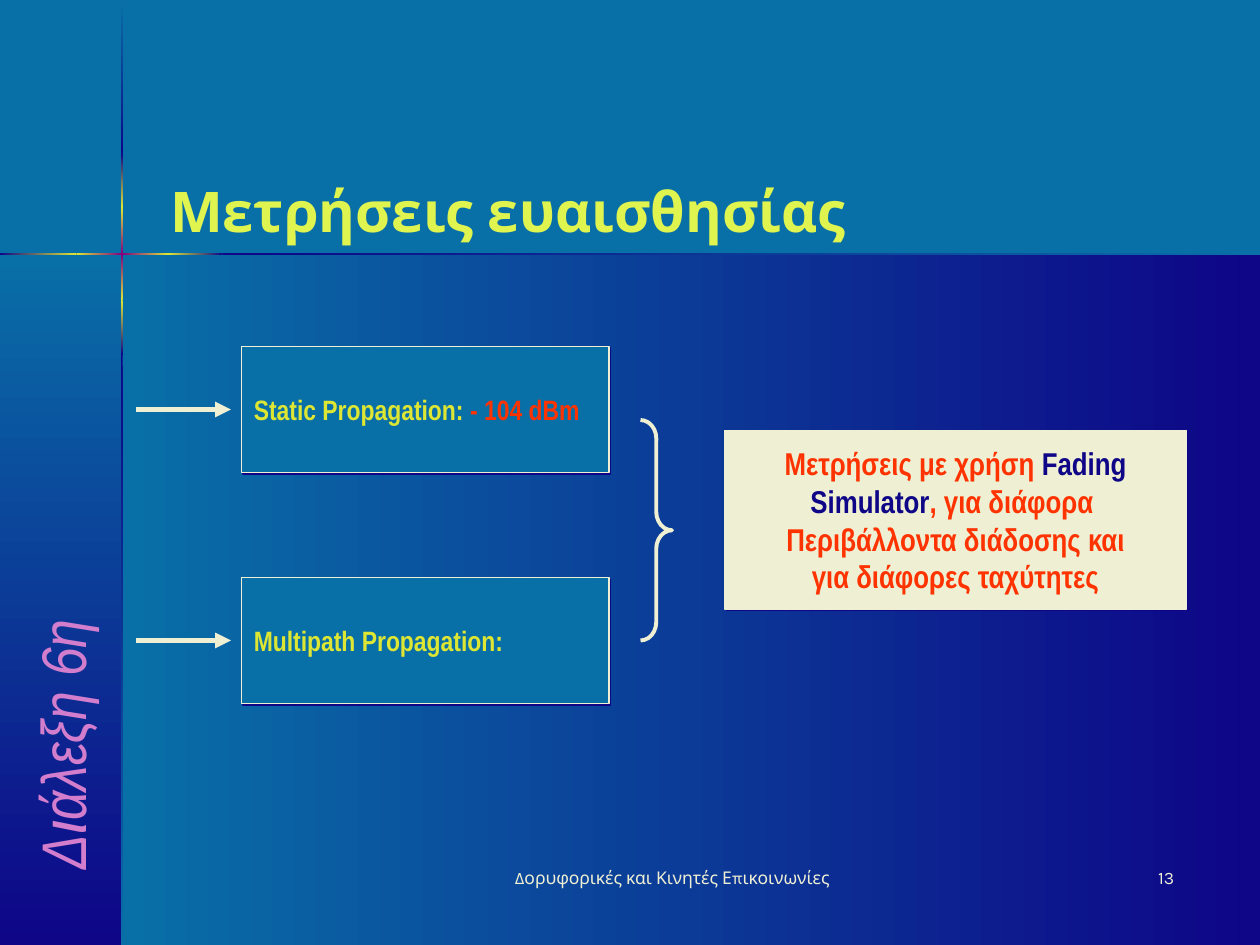
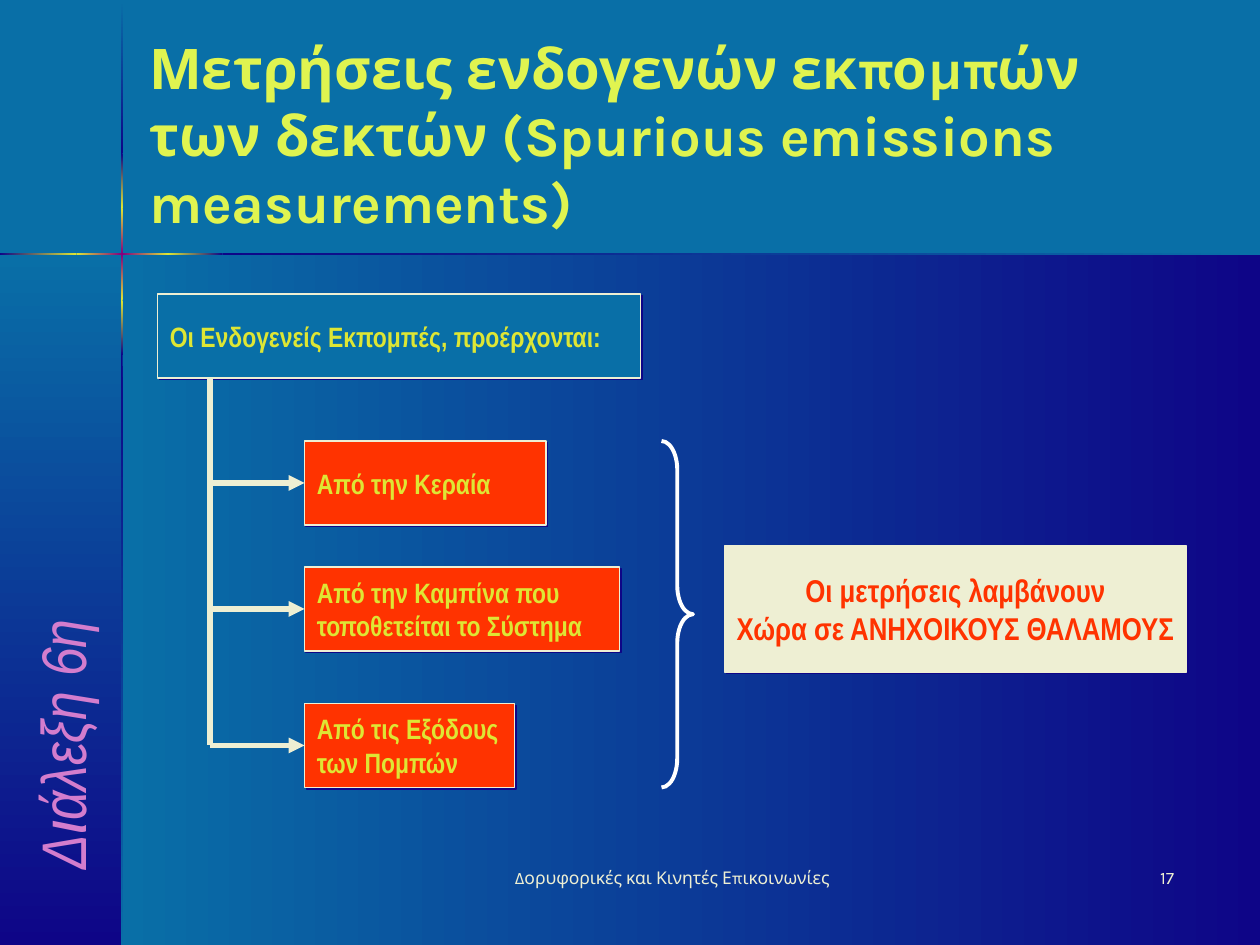
from copy import deepcopy

from lxml import etree
from pptx import Presentation
from pptx.dml.color import RGBColor
from pptx.enum.shapes import MSO_CONNECTOR as CONNECTOR, MSO_SHAPE as SHAPE
from pptx.enum.text import MSO_ANCHOR as ANCHOR, MSO_AUTO_SIZE as AUTO_SIZE, PP_ALIGN as ALIGN
from pptx.oxml.ns import qn
from pptx.util import Pt

PX = 7620  # EMU, 120 px to the inch

TEAL = RGBColor(0x09, 0x6F, 0xA7)
NAVY = RGBColor(0x0E, 0x05, 0x87)
YELLOW = RGBColor(0xDE, 0xE6, 0x34)
LIME = RGBColor(0xE0, 0xF4, 0x50)
PURPLE = RGBColor(0x80, 0x00, 0x80)
PINK = RGBColor(0xD3, 0x7D, 0xCD)
CREAM = RGBColor(0xEE, 0xEF, 0xD3)
RED = RGBColor(0xFF, 0x33, 0x00)
WHITE = RGBColor(0xFF, 0xFF, 0xFF)

TITLE_FONT = {"name": "Karla", "size": Pt(32), "bold": True}
SMALL_FONT = {"name": "Karla", "size": Pt(10)}
SIDE_FONT = {"name": "Arial Narrow", "size": Pt(36), "italic": True}
BOX_FONT = {"name": "Arial Narrow", "size": Pt(16), "bold": True}
NOTE_FONT = {"name": "Arial Narrow", "size": Pt(18), "bold": True}

# Background bands: left, top, width, height, angle, colours.
# Angle 270 runs from top to bottom, 180 from right to left.
BANDS = [
    (116, 242, 1084, 658, 180, (NAVY, TEAL)),
    (0, 242, 116, 658, 270, (TEAL, NAVY)),
    (115, 1, 2, 145, 270, (TEAL, NAVY)),
    (115, 338, 2, 562, 270, (NAVY, TEAL)),
    (212, 241, 988, 2, 180, (TEAL, NAVY)),
    (115, 286, 2, 52, 270, (YELLOW, NAVY)),
    (115, 146, 2, 52, 270, (NAVY, YELLOW)),
    (115, 198, 2, 88, 270, (YELLOW, PURPLE, YELLOW)),
    (0, 241, 73, 2, 180, (YELLOW, NAVY)),
    (160, 241, 52, 2, 180, (NAVY, YELLOW)),
    (73, 241, 87, 2, 180, (YELLOW, PURPLE, YELLOW)),
]

# Title, its left and top, page number
PAGES = [
    ("Μετρήσεις ευαισθησίας", 150, 130, "13"),
    ("Μετρήσεις ενδογενών εκπομπών των δεκτών (Spurious emissions measurements)",
     130, 122, "17"),
]


def write(frame, lines, font, align=ALIGN.LEFT, anchor=ANCHOR.TOP, wrap=True):
    """Fill a text frame; each line is a list of (text, colour) spans."""
    frame.auto_size = AUTO_SIZE.NONE
    frame.word_wrap = wrap
    frame.vertical_anchor = anchor
    for number, line in enumerate(lines):
        para = frame.add_paragraph() if number else frame.paragraphs[0]
        para.alignment = align
        for text, colour in line:
            span = para.add_run()
            span.text = text
            for key, value in font.items():
                setattr(span.font, key, value)
            span.font.color.rgb = colour


def add_box(page, place, fill, lines, font=BOX_FONT, align=ALIGN.LEFT):
    """Add a rectangle with a cream outline and a hard navy shadow."""
    box = page.shapes.add_shape(SHAPE.RECTANGLE, *(n * PX for n in place))
    box.fill.solid()
    box.fill.fore_color.rgb = fill
    box.line.color.rgb = CREAM
    box.line.width = Pt(0.75)
    box.shadow.inherit = False
    effects = box._element.spPr.find(qn("a:effectLst"))
    shadow = etree.SubElement(effects, qn("a:outerShdw"), dist="17780",
                              dir="2700000", algn="ctr", rotWithShape="0")
    etree.SubElement(shadow, qn("a:srgbClr"), val=str(NAVY))
    write(box.text_frame, lines, font, align, ANCHOR.MIDDLE, wrap=False)
    return box


deck = Presentation()
deck.slide_width, deck.slide_height = 1200 * PX, 900 * PX
background = deck.slide_master.background.fill
background.solid()
background.fore_color.rgb = TEAL

# Parts shared by the slides
pages = []
for title_text, title_left, title_top, number in PAGES:
    page = deck.slides.add_slide(deck.slide_layouts[5])
    pages.append(page)
    for *place, angle, colours in BANDS:
        band = page.shapes.add_shape(SHAPE.RECTANGLE, *(n * PX for n in place))
        band.shadow.inherit = False
        band.line.fill.background()
        band.fill.gradient()
        band.fill.gradient_angle = angle
        stop_list = band._element.spPr.find(qn("a:gradFill")).find(qn("a:gsLst"))
        if len(colours) == 3:
            stop_list.insert(1, deepcopy(stop_list[0]))
        for index, (stop, colour) in enumerate(zip(band.fill.gradient_stops, colours)):
            stop.color.rgb = colour
            stop.position = index / (len(colours) - 1)

    title = page.shapes.title
    title.left, title.top = title_left * PX, title_top * PX
    title.width, title.height = 930 * PX, 108 * PX
    write(title.text_frame, [[(title_text, LIME)]], TITLE_FONT, anchor=ANCHOR.BOTTOM)

    side = page.shapes.add_textbox(-170 * PX, 570 * PX, 460 * PX, 80 * PX)
    side.rotation = 270
    write(side.text_frame, [[("Διάλεξη 6η", PINK)]], SIDE_FONT, anchor=ANCHOR.BOTTOM)

    for text, left, width, align in [
        ("Δορυφορικές και Κινητές Επικοινωνίες", 450, 380, ALIGN.CENTER),
        (number, 880, 250, ALIGN.RIGHT),
    ]:
        footer = page.shapes.add_textbox(left * PX, 820 * PX, width * PX, 60 * PX)
        write(footer.text_frame, [[(text, CREAM)]], SMALL_FONT, align)

sensitivity, spurious = pages
arrows = []

# Sensitivity: two propagation cases
for top, line in [
    (330, [("Static Propagation: ", YELLOW), ("- 104 dBm", RED)]),
    (550, [("Multipath Propagation:", YELLOW)]),
]:
    add_box(sensitivity, (230, top, 350, 120), TEAL, [line])
    middle = (top + 60) * PX
    arrows.append(sensitivity.shapes.add_connector(
        CONNECTOR.STRAIGHT, 130 * PX, middle, 220 * PX, middle))

add_box(sensitivity, (690, 410, 440, 170), CREAM, [
    [("Μετρήσεις με χρήση ", RED), ("Fading", NAVY)],
    [("Simulator", NAVY), (", για διάφορα ", RED)],
    [("Περιβάλλοντα διάδοσης και", RED)],
    [("για διάφορες ταχύτητες", RED)],
], NOTE_FONT, ALIGN.CENTER)

# Spurious emissions: a heading box with three sources hanging from a spine
add_box(spurious, (150, 280, 460, 80), TEAL,
        [[("Οι Ενδογενείς Εκπομπές, προέρχονται:", YELLOW)]])
spine = spurious.shapes.add_connector(
    CONNECTOR.STRAIGHT, 200 * PX, 360 * PX, 200 * PX, 710 * PX)

for top, width, lines in [
    (420, 230, ["Από την Κεραία"]),
    (540, 300, ["Από την Καμπίνα που", "τοποθετείται το Σύστημα"]),
    (670, 200, ["Από τις Εξόδους", "των Πομπών"]),
]:
    source = add_box(spurious, (290, top, width, 80), RED,
                     [[(text, YELLOW)] for text in lines])
    middle = (top + 40) * PX
    arrow = spurious.shapes.add_connector(
        CONNECTOR.STRAIGHT, 200 * PX, middle, 290 * PX, middle)
    arrow.end_connect(source, 1)
    arrows.append(arrow)

add_box(spurious, (690, 520, 440, 120), CREAM, [
    [("Οι μετρήσεις λαμβάνουν", RED)],
    [("Χώρα σε ΑΝΗΧΟΙΚΟΥΣ ΘΑΛΑΜΟΥΣ", RED)],
], NOTE_FONT, ALIGN.CENTER)

for connector in [spine, *arrows]:
    connector.line.color.rgb = CREAM
    connector.line.width = Pt(3)
    etree.SubElement(connector._element.spPr, qn("a:effectLst"))
for arrow in arrows:
    etree.SubElement(arrow.line._get_or_add_ln(), qn("a:tailEnd"), type="triangle")

# Braces: each curl is a twelfth of the height
for page, left, top, height, colour in [
    (sensitivity, 610, 400, 210, CREAM),
    (spurious, 630, 420, 330, WHITE),
]:
    brace = page.shapes.add_shape(
        SHAPE.RIGHT_BRACE, left * PX, top * PX, 30 * PX, height * PX)
    brace.adjustments[0] = height / 12 / 30
    brace.shadow.inherit = False
    brace.fill.background()
    brace.line.color.rgb = colour
    brace.line.width = Pt(2.25)

deck.save("out.pptx")
